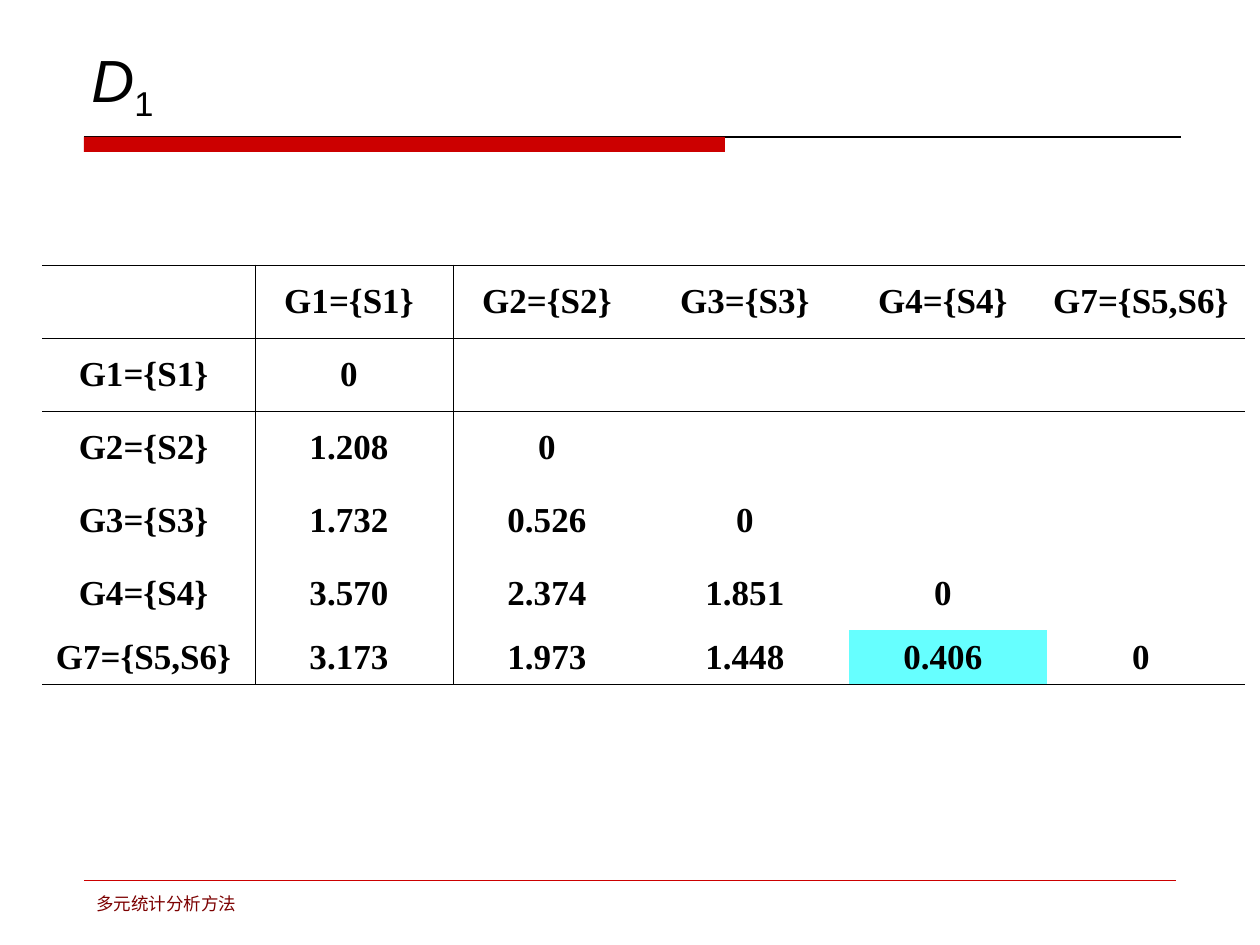
from lxml import etree
from pptx import Presentation
from pptx import util as u
from pptx.dml.color import RGBColor
from pptx.enum import shapes, text
from pptx.oxml.ns import qn

PX = u.Inches(1) / 126
BLACK = RGBColor(0x00, 0x00, 0x00)
RED = RGBColor(0xCC, 0x00, 0x00)
MAROON = RGBColor(0x7C, 0x00, 0x00)
CYAN = RGBColor(0x66, 0xFF, 0xFF)
NO_STYLE = "{2D5ABB26-0587-4C30-8999-92F81FD0307C}"


def px(*values):
    return [u.Emu(round(v * PX)) for v in values]


def add_text(p, content, size, font, color=BLACK, bold=False, italic=False, baseline=0):
    r = p.add_run()
    r.text = content
    r.font.size = u.Pt(size)
    r.font.name = font
    r.font.bold = bold
    r.font.italic = italic
    r.font.color.rgb = color
    rPr = r._r.get_or_add_rPr()
    etree.SubElement(rPr, qn("a:ea"), typeface=font)
    if baseline:
        rPr.set("baseline", str(baseline * 1000))


prs = Presentation()
prs.slide_width, prs.slide_height = px(1260, 945)
s = prs.slides.add_slide(prs.slide_layouts[6])

for x2, y, color, width in [(1181, 137, BLACK, 0.75), (1176, 880, RED, 0.25)]:
    line = s.shapes.add_connector(shapes.MSO_CONNECTOR.STRAIGHT, *px(84, y, x2, y))
    line.line.color.rgb = color
    line.line.width = u.Pt(width)
    etree.SubElement(line._element.spPr, qn("a:effectLst"))

bar = s.shapes.add_shape(shapes.MSO_SHAPE.RECTANGLE, *px(84, 137, 641, 15))
bar.shadow.inherit = False
bar.fill.solid()
bar.fill.fore_color.rgb = RED
bar.line.fill.background()

title = s.shapes.add_textbox(*px(79, 42, 1103, 88))
tf = title.text_frame
tf.word_wrap = True
tf.vertical_anchor = text.MSO_ANCHOR.BOTTOM
add_text(tf.paragraphs[0], "D", 34, "Arial", italic=True)
add_text(tf.paragraphs[0], "1", 34, "Arial", baseline=-25)

footer = s.shapes.add_textbox(*px(84, 887, 397, 39))
footer.text_frame.word_wrap = True
add_text(footer.text_frame.paragraphs[0], "多元统计分析方法", 10, "DejaVu Sans", MAROON)

groups = ["G1={S1}", "G2={S2}", "G3={S3}", "G4={S4}", "G7={S5,S6}"]
distances = [
    ["0"],
    ["1.208", "0"],
    ["1.732", "0.526", "0"],
    ["3.570", "2.374", "1.851", "0"],
    ["3.173", "1.973", "1.448", "0.406", "0"],
]
rows = [[""] + groups] + [[g] + d for g, d in zip(groups, distances)]
n = len(rows)
last = n - 1

frame = s.shapes.add_table(n, n, *px(42, 265, 1203, 420))
table = frame.table
table.first_row = False
table.horz_banding = False
table._tbl.tblPr.find(qn("a:tableStyleId")).text = NO_STYLE
for col, width in zip(table.columns, px(213, *[198] * 5)):
    col.width = width
for row, height in zip(table.rows, px(*[73] * 5, 55)):
    row.height = height

for i in range(n):
    for j in range(n):
        cell = table.cell(i, j)
        cell.vertical_anchor = text.MSO_ANCHOR.MIDDLE
        cell.margin_left, cell.margin_right = px(3, 13)
        p = cell.text_frame.paragraphs[0]
        p.alignment = text.PP_ALIGN.CENTER
        if j < len(rows[i]) and rows[i][j]:
            add_text(p, rows[i][j], 20, "Times New Roman", bold=True)

        borders = {"L": j == 1, "R": j == 0, "T": i in (0, 1), "B": i in (0, last)}
        tcPr = cell._tc.get_or_add_tcPr()
        for side, shown in borders.items():
            if shown:
                ln = etree.SubElement(tcPr, qn("a:ln" + side), w=str(u.Pt(0.45)))
                fill = etree.SubElement(ln, qn("a:solidFill"))
                etree.SubElement(fill, qn("a:srgbClr"), val=str(BLACK))
        if (i, j) == (last, last - 1):
            cell.fill.solid()
            cell.fill.fore_color.rgb = CYAN
        else:
            cell.fill.background()

prs.save("out.pptx")
